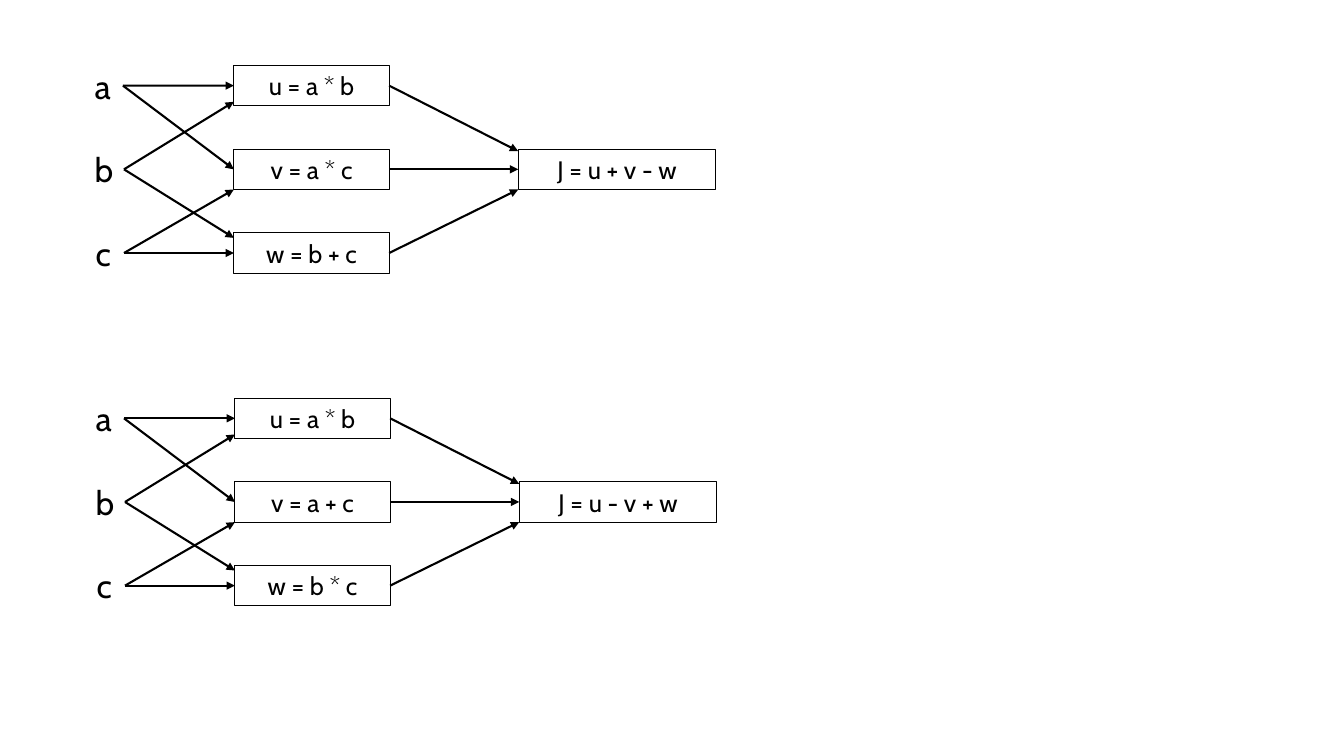
"""Build a slide with two computation graphs for J, one above the other."""
import dataclasses

import pptx
import pptx.dml.color
import pptx.enum.shapes
import pptx.enum.text
import pptx.oxml
import pptx.oxml.ns
import pptx.util
from pptx.util import Inches


@dataclasses.dataclass
class Theme:
    font: str = "Cabin"
    ink: pptx.dml.color.RGBColor = pptx.dml.color.RGBColor(0, 0, 0)
    input_size: int = 24
    formula_size: int = 18
    border_width: float = 0.75
    arrow_width: float = 1.5


theme = Theme()


def write_text(box, text, size, alignment, wrap):
    frame = box.text_frame
    frame.text = text
    frame.word_wrap = wrap
    frame.auto_size = pptx.enum.text.MSO_AUTO_SIZE.SHAPE_TO_FIT_TEXT
    para = frame.paragraphs[0]
    para.alignment = alignment
    span = para.runs[0]
    span.font.name = theme.font
    span.font.size = pptx.util.Pt(size)
    span.font.color.rgb = theme.ink


def add_arrow(shapes, source, target, shift):
    start_x = source.left + source.width
    start_y = source.top + source.height // 2
    end_y = target.top + target.height // 2 + Inches(shift)
    arrow = shapes.add_connector(
        pptx.enum.shapes.MSO_CONNECTOR.STRAIGHT, start_x, start_y, target.left, end_y)
    arrow.begin_connect(source, 3)
    if shift == 0:
        arrow.end_connect(target, 1)
    arrow.line.color.rgb = theme.ink
    arrow.line.width = pptx.util.Pt(theme.arrow_width)
    head = pptx.oxml.parse_xml(f'<a:tailEnd {pptx.oxml.ns.nsdecls("a")} type="triangle"/>')
    arrow.line._get_or_add_ln().append(head)
    effects = pptx.oxml.parse_xml(f'<a:effectLst {pptx.oxml.ns.nsdecls("a")}/>')
    arrow._element.spPr.append(effects)


deck = pptx.Presentation()
deck.slide_width = Inches(13.33)
deck.slide_height = Inches(7.5)
page = deck.slides.add_slide(deck.slide_layouts[6])

row_step = 0.83
box_height = 0.4
input_height = 0.5
inputs = [("a", 0.84, 0.38), ("b", 0.84, 0.39), ("c", 0.85, 0.38)]
graphs = [
    (0, 0.85, ["u = a * b", "v = a * c", "w = b + c", "J = u + v - w"]),
    (0.01, 4.15, ["u = a * b", "v = a + c", "w = b * c", "J = u - v + w"]),
]
formula_places = [(2.32, 0, 1.54), (2.32, 1, 1.54), (2.32, 2, 1.54), (5.14, 1, 1.96)]
arrows = [
    ("a", "u", 0), ("a", "v", 0),
    ("b", "u", 0.16), ("b", "w", -0.15),
    ("c", "w", 0), ("c", "v", 0.2),
    ("u", "J", -0.18), ("v", "J", 0), ("w", "J", 0.2),
]

for offset, first_row, formulas in graphs:
    shapes = page.shapes.add_group_shape().shapes
    nodes = {}

    for row, (name, left, width) in enumerate(inputs):
        middle = first_row + row * row_step
        box = shapes.add_textbox(
            Inches(left + offset), Inches(middle - input_height / 2),
            Inches(width), Inches(input_height))
        write_text(box, name, theme.input_size, pptx.enum.text.PP_ALIGN.LEFT, False)
        nodes[name] = box

    for formula, (left, row, width) in zip(formulas, formula_places):
        middle = first_row + row * row_step
        box = shapes.add_shape(
            pptx.enum.shapes.MSO_SHAPE.RECTANGLE,
            Inches(left + offset), Inches(middle - box_height / 2),
            Inches(width), Inches(box_height))
        box.shadow.inherit = False
        box.fill.background()
        box.line.color.rgb = theme.ink
        box.line.width = pptx.util.Pt(theme.border_width)
        write_text(box, formula, theme.formula_size, pptx.enum.text.PP_ALIGN.CENTER, True)
        nodes[formula[0]] = box

    for source, target, shift in arrows:
        add_arrow(shapes, nodes[source], nodes[target], shift)

deck.save("out.pptx")
